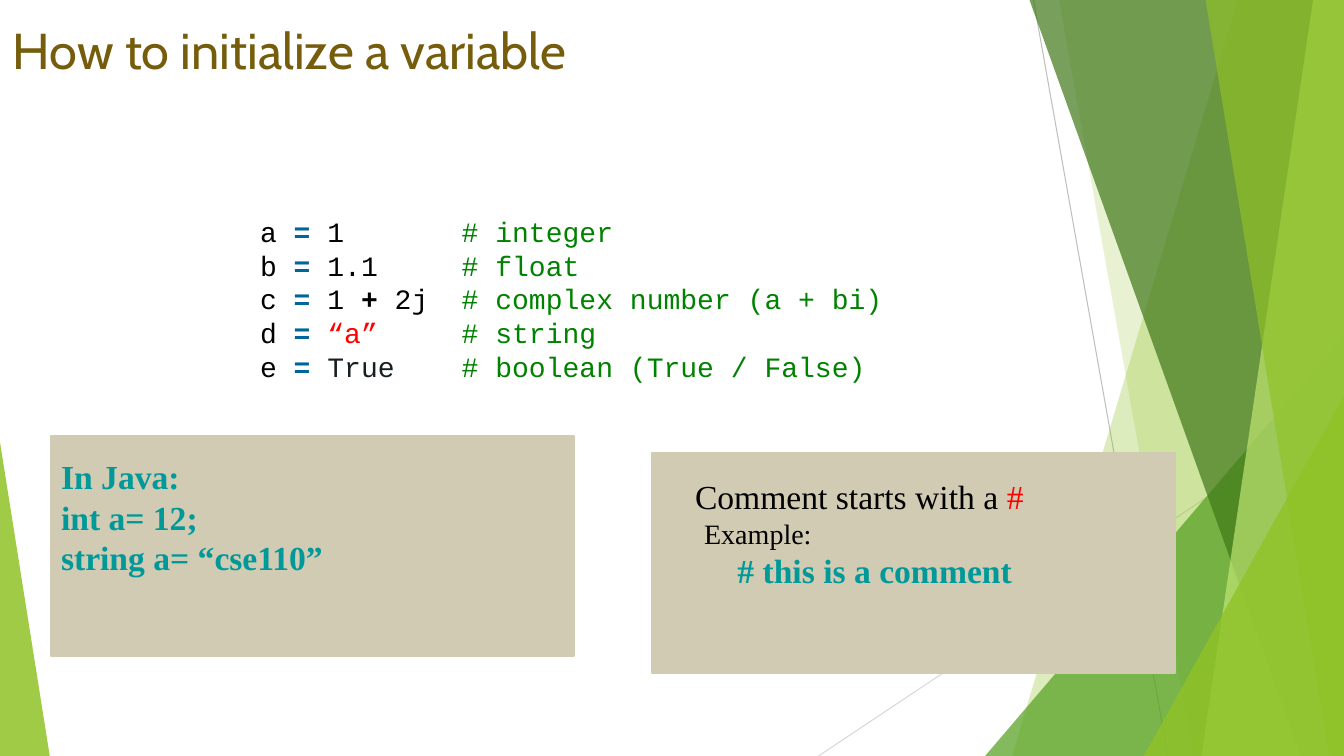
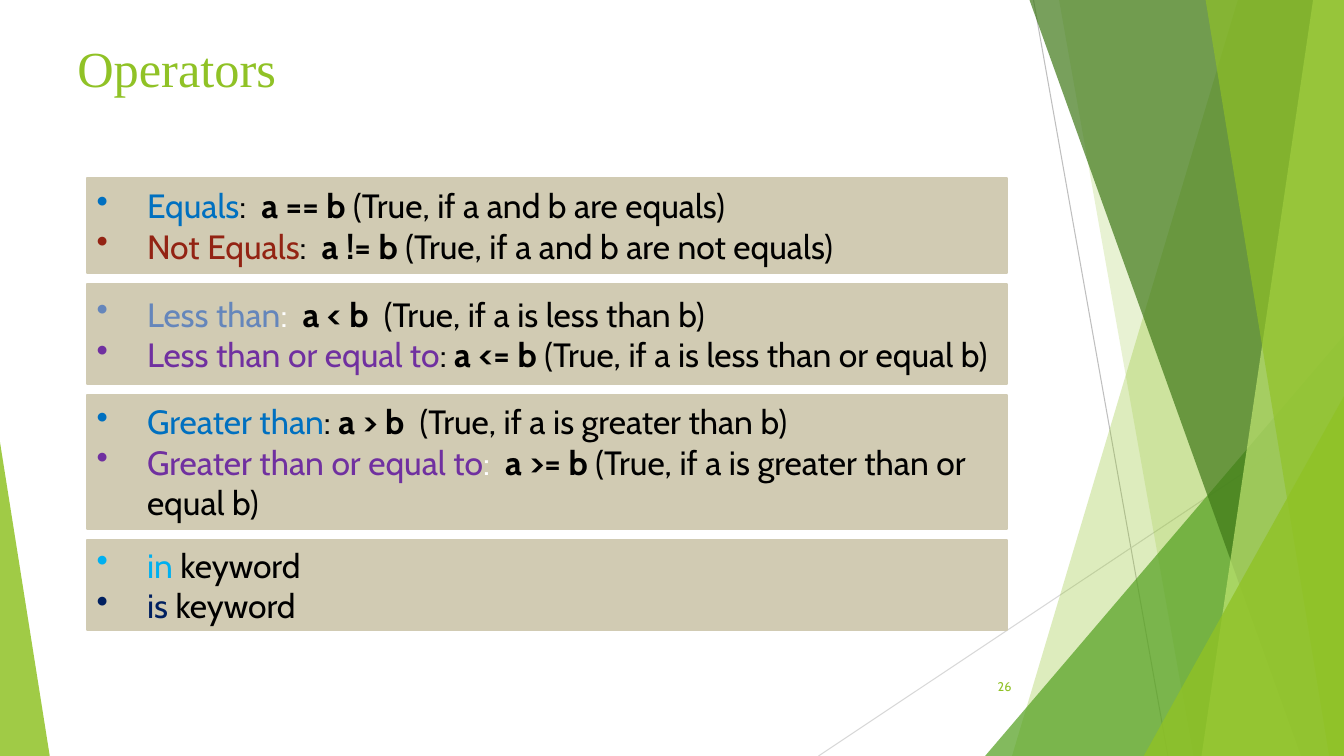
from dataclasses import dataclass

from lxml.etree import SubElement
from pptx import Presentation
from pptx.dml.color import RGBColor
from pptx.enum.shapes import MSO_CONNECTOR, MSO_SHAPE
from pptx.enum.text import MSO_ANCHOR, MSO_AUTO_SIZE, PP_ALIGN
from pptx.oxml.ns import qn
from pptx.util import Inches, Pt


@dataclass(frozen=True)
class Theme:
    # Colours
    black: str = "000000"
    white: str = "FFFFFF"
    lime: str = "90C226"
    leaf: str = "54A021"
    moss: str = "3F7818"
    pale: str = "BFE471"
    sand: str = "D1CBB3"
    gold: str = "755D0C"
    teal: str = "009999"
    red: str = "FF0000"
    rust: str = "932313"
    blue: str = "0070C0"
    steel: str = "6586BB"
    sky: str = "00B0F0"
    navy: str = "002060"
    plum: str = "7030A0"
    sign: str = "006699"
    note: str = "008200"
    ink: str = "161E21"
    dark: str = "BFBFBF"
    light: str = "D8D8D8"
    # Fonts and sizes
    sans: str = "Cabin"
    serif: str = "Times New Roman"
    mono: str = "Courier New"
    head: int = 36
    text: int = 24
    code: int = 20
    tiny: int = 9


T = Theme()
WIDE, HIGH = Inches(13.33), Inches(7.5)


# Places are given as percent of the slide's width and height
def across(share):
    return round(WIDE * share / 100)


def down(share):
    return round(HIGH * share / 100)


def place(x, y, w, h):
    return across(x), down(y), across(w), down(h)


# Text
def say(para, text, *, font, size, color=T.black, bold=False):
    run = para.add_run()
    run.text = text
    run.font.name, run.font.size, run.font.bold = font, Pt(size), bold
    run.font.color.rgb = RGBColor.from_string(color)


def add_line(frame, *spans, font=T.sans, size=T.text):
    """Add a paragraph of spans: (text, colour, bold), the last two optional."""
    para = frame.paragraphs[0]
    if para.runs:
        para = frame.add_paragraph()
    para.alignment = PP_ALIGN.LEFT
    for text, color, bold in ((*span, T.black, False)[:3] if len(span) == 1
                              else (*span, False)[:3] for span in spans):
        say(para, text, font=font, size=size, color=color, bold=bold)
    return para


def indent(para, left, hang=0):
    props = para._p.get_or_add_pPr()
    props.set("marL", str(Inches(left)))
    props.set("indent", str(-Inches(hang)))
    return props


def dot(para, color):
    props = indent(para, 0.5, 0.5)
    tint = SubElement(props, qn("a:buClr"))
    SubElement(tint, qn("a:srgbClr"), val=color)
    SubElement(props, qn("a:buChar"), char="•")


def tab(para, left):
    stops = SubElement(para._p.get_or_add_pPr(), qn("a:tabLst"))
    SubElement(stops, qn("a:tab"), pos=str(Inches(left)), algn="l")


def fit(frame, anchor, pad=None):
    frame.word_wrap = True
    frame.auto_size = MSO_AUTO_SIZE.NONE
    frame.vertical_anchor = anchor
    if pad is not None:
        frame.margin_left, frame.margin_top, frame.margin_right, frame.margin_bottom = pad
    return frame


def add_title(slide, text, spot, **style):
    title = slide.shapes.title
    title.left, title.top, title.width, title.height = place(*spot)
    frame = fit(title.text_frame, MSO_ANCHOR.TOP)
    frame.paragraphs[0].alignment = PP_ALIGN.LEFT
    say(frame.paragraphs[0], text, size=T.head, **style)


def add_text(slide, spot, pad=None):
    box = slide.shapes.add_textbox(*place(*spot))
    return fit(box.text_frame, MSO_ANCHOR.MIDDLE, pad)


# Shapes
def paint(shape, color, share=100):
    shape.shadow.inherit = False
    shape.fill.solid()
    shape.fill.fore_color.rgb = RGBColor.from_string(color)
    shape.line.fill.background()
    if share < 100:
        tint = shape.element.spPr.find(".//" + qn("a:srgbClr"))
        SubElement(tint, qn("a:alpha"), val=str(share * 1000))
    return shape


def add_panel(slide, spot, anchor=MSO_ANCHOR.MIDDLE, top=0.05):
    panel = paint(slide.shapes.add_shape(MSO_SHAPE.RECTANGLE, *place(*spot)), T.sand)
    panel.line.color.rgb = RGBColor.from_string(T.sand)
    panel.line.width = Pt(1.5)
    side = Inches(0.1)
    return fit(panel.text_frame, anchor, (side, Inches(top), side, Inches(0.05)))


def add_rule(slide, start, end, color):
    rule = slide.shapes.add_connector(
        MSO_CONNECTOR.STRAIGHT, across(start[0]), down(start[1]), across(end[0]), down(end[1]))
    rule.line.color.rgb = RGBColor.from_string(color)
    rule.line.width = Pt(0.75)
    SubElement(rule.element.spPr, qn("a:effectLst"))


def add_shard(slide, top, foot, color, share):
    """Band from a slanted left edge to the right side of the slide."""
    form = slide.shapes.build_freeform(across(top), 0, scale=1.0)
    form.add_line_segments([(WIDE, 0), (WIDE, HIGH), (across(foot), HIGH)], close=True)
    paint(form.convert_to_shape(), color, share)


def add_wedge(slide, left, top, width, peak, color, share):
    """Triangle that stands on the foot of the slide."""
    wedge = slide.shapes.add_shape(
        MSO_SHAPE.ISOSCELES_TRIANGLE, *place(left, top, width, 100 - top))
    wedge.adjustments[0] = peak
    paint(wedge, color, share)


def dress(layout, slide):
    """Draw the shared backdrop and move it to the layout."""
    count = len(slide.shapes)
    add_rule(slide, (76.9, 0), (86.9, 100), T.dark)
    add_rule(slide, (100, 53.7), (60.9, 100), T.light)
    add_shard(slide, 92.1, 75.3, T.lime, 30)
    add_shard(slide, 78.8, 88.8, T.lime, 20)
    add_wedge(slide, 73.3, 44.4, 26.7, 1, T.leaf, 72)
    add_shard(slide, 76.6, 96.8, T.moss, 70)
    add_shard(slide, 97.7, 89.4, T.pale, 70)
    add_shard(slide, 89.7, 98.9, T.lime, 65)
    add_wedge(slide, 85.1, 52.4, 14.9, 1, T.lime, 80)
    add_wedge(slide, 0, 58.5, 3.7, 0, T.lime, 85)
    for shape in list(slide.shapes)[count:]:
        layout.shapes.element.append(shape.element)


# Slides
def fill_start(slide):
    add_title(slide, "How to initialize a variable", (0.2, 1.9, 84.9, 19.3),
              font=T.sans, color=T.gold)

    # Code sample
    code = add_text(slide, (19.35, 28.3, 54, 22.4), (0, 0, 0, 0))
    rows = [
        ("a", [("1",)], "integer"),
        ("b", [("1.1",)], "float"),
        ("c", [("1 ",), ("+", T.black, True), (" 2j",)], "complex number (a + bi)"),
        ("d", [("“a”", T.red)], "string"),
        ("e", [("True", T.ink)], "boolean (True / False)"),
    ]
    for name, value, note in rows:
        para = add_line(code, (name + " ",), ("= ", T.sign, True), *value,
                        ("\t# " + note, T.note), font=T.mono, size=T.code)
        para.line_spacing = Pt(24)
        tab(para, 2)

    # Panels below the code
    size = 38.9, 29.1
    hint = add_panel(slide, (48.5, 59.9, *size), MSO_ANCHOR.TOP, 0.23)
    lines = [
        (0.33, T.text, [("Comment starts with a ",), ("#", T.red)]),
        (0.42, T.code, [("Example:",)]),
        (0.75, T.text, [("# this is a comment", T.teal, True)]),
    ]
    for left, points, spans in lines:
        indent(add_line(hint, *spans, font=T.serif, size=points), left)

    java = add_panel(slide, (3.8, 57.7, *size), MSO_ANCHOR.TOP, 0.2)
    for text in ("In Java:", "int a= 12;", "string a= “cse110”"):
        add_line(java, (text, T.teal, True), font=T.serif)


def fill_signs(slide):
    add_title(slide, "Operators", (5, 4.3, 86.3, 19.3), font=T.serif, color=T.lime)

    # Panels: height, then name, its colour, gap, gap colour, sign, meaning
    groups = [
        (12.5, [
            ("Equals", T.blue, ":  ", T.black, "a == b ", "(True, if a and b are equals)"),
            ("Not Equals", T.rust, ":  ", T.black, "a != b ",
             "(True, if a and b are not equals)")]),
        (13.2, [
            ("Less than", T.steel, ":  ", T.white, "a < b  ", "(True, if a is less than b)"),
            ("Less than or equal to", T.plum, ": ", T.black, "a <= b ",
             "(True, if a is less than or equal b)")]),
        (17.7, [
            ("Greater than", T.blue, ": ", T.black, "a > b  ",
             "(True, if a is greater than b)"),
            ("Greater than or equal to", T.plum, ":  ", T.white, "a >= b ",
             "(True, if a is greater than or equal b)")]),
        (11.9, [("in ", T.sky), ("is ", T.navy)]),
    ]
    top, gap = 23.6, 1.47
    for height, rows in groups:
        panel = add_panel(slide, (6.45, top, 68.5, height))
        for name, color, *rest in rows:
            spans = [("keyword",)]
            if rest:
                mark, shade, sign, sense = rest
                spans = [(mark, shade), (sign, T.black, True), (sense,)]
            dot(add_line(panel, (name, color), *spans), color)
        top += height + gap

    # Page number
    page = add_text(slide, (70.4, 88.1, 5.6, 5.3))
    add_line(page, ("26", T.lime), size=T.tiny).alignment = PP_ALIGN.RIGHT


def main():
    deck = Presentation()
    deck.slide_width, deck.slide_height = WIDE, HIGH
    layout = deck.slide_layouts[5]
    first, second = (deck.slides.add_slide(layout) for _ in range(2))
    dress(layout, first)
    fill_start(first)
    fill_signs(second)
    deck.save("out.pptx")


if __name__ == "__main__":
    main()
